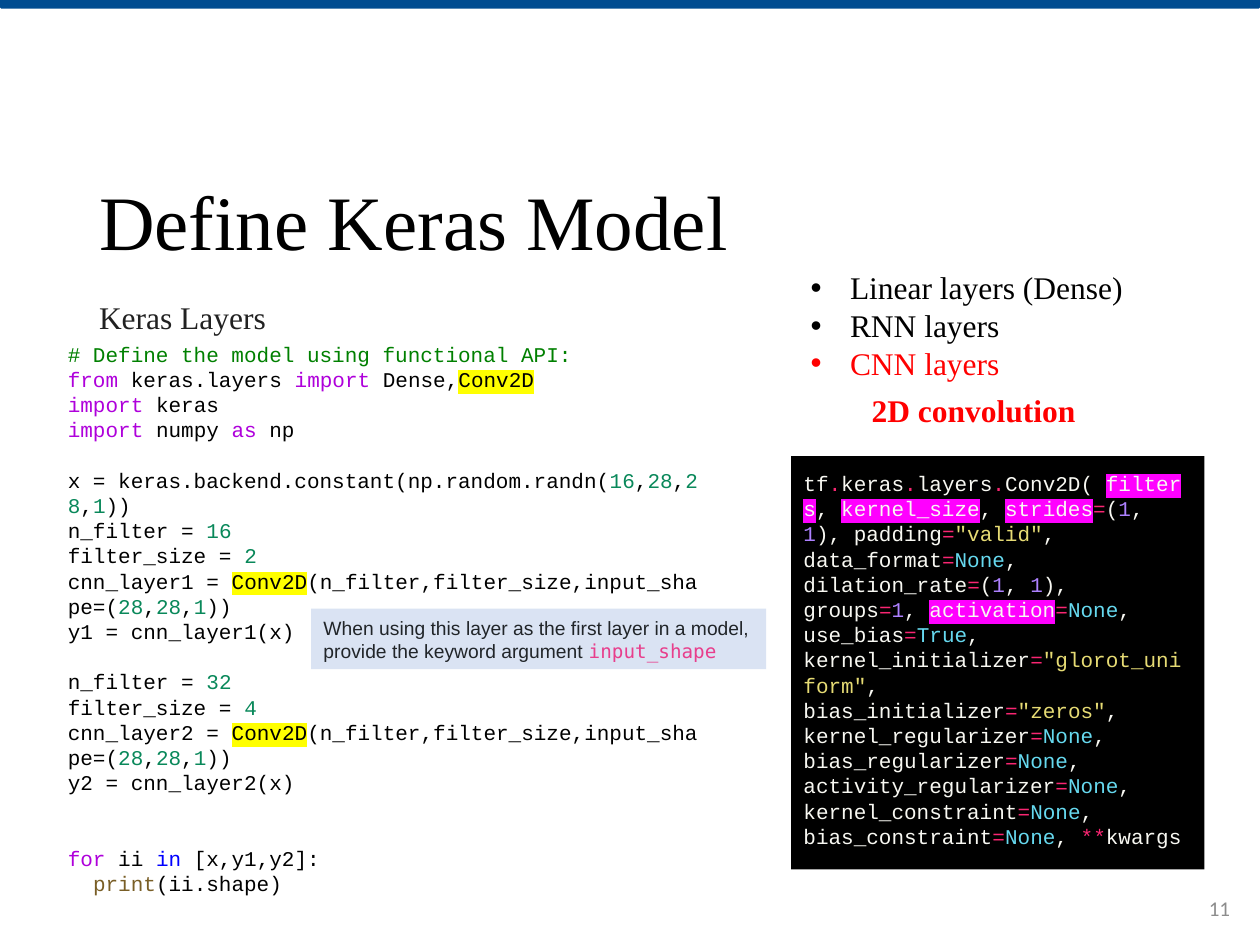
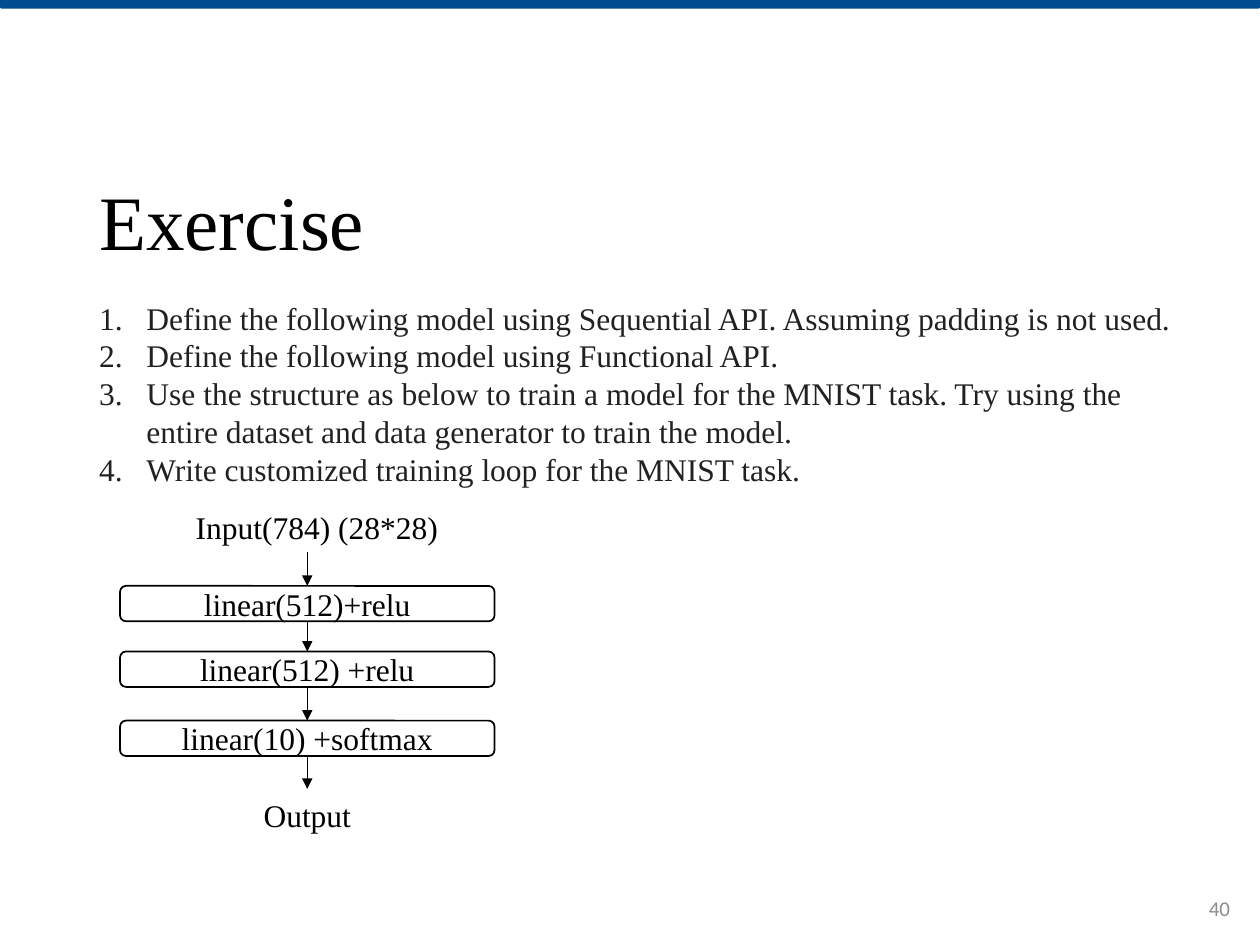
from lxml.etree import SubElement
from pptx import Presentation
from pptx.dml.color import RGBColor
from pptx.enum.shapes import MSO_CONNECTOR, MSO_SHAPE
from pptx.enum.text import MSO_ANCHOR, MSO_AUTO_SIZE, PP_ALIGN
from pptx.oxml.ns import qn
from pptx.util import Pt

SERIF, MONO = "Times New Roman", "Courier New"
BLACK, WHITE, RED, INK = "000000", "FFFFFF", "FF0000", "212121"
BAND, PAGE_NUMBER = "004C90", "8C8C8C"
LINE_FACTOR = 1.2
NO_BREAK_SPACE = chr(160)

LIGHT_CODE = {
    "c": {"color": "008000"},
    "k": {"color": "AF00DB"},
    "n": {"color": "09885A"},
    "i": {"color": "0000FF"},
    "f": {"color": "795E26"},
    "h": {"highlight": "FFFF00"},
}
DARK_CODE = {
    "o": {"color": "F92672"},
    "n": {"color": "AE81FF"},
    "s": {"color": "E6DB74"},
    "v": {"color": "66D9EF"},
    "h": {"highlight": "FF00FF"},
}
CALLOUT = {"a": {"color": "E83E8C", "font": "DejaVu Sans Mono"}}

IMAGE_SHAPE = "({n:28},{n:28},{n:1}))"
CONV_CALL = "{h:Conv2D}(n_filter,filter_size,input_shape=" + IMAGE_SHAPE
MODEL_CODE = [
    "{c:# Define the model using functional API:}",
    "{k:from} keras.layers {k:import} Dense,{h:Conv2D}",
    "{k:import} keras",
    "{k:import} numpy {k:as} np",
    "x = keras.backend.constant(np.random.randn({n:16},{n:28},{n:28},{n:1}))",
    "n_filter = {n:16}",
    "filter_size = {n:2}",
    "cnn_layer1 = " + CONV_CALL,
    "y1 = cnn_layer1(x)",
    "n_filter = {n:32}",
    "filter_size = {n:4}",
    "cnn_layer2 = " + CONV_CALL,
    "y2 = cnn_layer2(x)",
    "{k:for} ii {i:in} [x,y1,y2]:",
    "{f:print}(ii.shape)",
]
LINES_SKIPPED_BEFORE = {4: 1, 9: 1, 13: 2}

PAIR = "({n:1}, {n:1})"
SIGNATURE = [
    ("{h:strides}", PAIR),
    ("padding", '{s:"valid"}'),
    ("data_format", "{v:None}"),
    ("dilation_rate", PAIR),
    ("groups", "{n:1}"),
    ("{h:activation}", "{v:None}"),
    ("use_bias", "{v:True}"),
    ("kernel_initializer", '{s:"glorot_uniform"}'),
    ("bias_initializer", '{s:"zeros"}'),
    ("kernel_regularizer", "{v:None}"),
    ("bias_regularizer", "{v:None}"),
    ("activity_regularizer", "{v:None}"),
    ("kernel_constraint", "{v:None}"),
    ("bias_constraint", "{v:None}"),
]


def rgb(value):
    return RGBColor.from_string(value)


def set_all(target, values):
    for name, value in values.items():
        setattr(target, name, value)


def split_markup(text):
    first, *rest = text.split("{")
    pieces = [(None, first)]
    for part in rest:
        marked, _, plain = part.partition("}")
        key, _, words = marked.partition(":")
        pieces += [(key, words), (None, plain)]
    return [piece for piece in pieces if piece[1]]


def add_span(para, words, size, font, color, highlight=None, bold=False):
    span = para.add_run()
    span.text = words
    set_all(span.font, {"size": Pt(size), "name": font, "bold": bold})
    span.font.color.rgb = rgb(color)
    if highlight:
        properties = span.font._element
        mark = SubElement(properties, qn("a:highlight"))
        SubElement(mark, qn("a:srgbClr"), val=highlight)
        properties.find(qn("a:latin")).addprevious(mark)


def write(frame, lines, size, font=SERIF, color=BLACK, styles=None,
          align=PP_ALIGN.LEFT, spacing=None, **look):
    for index, line in enumerate(lines):
        para = frame.paragraphs[0] if index == 0 else frame.add_paragraph()
        set_all(para, {
            "alignment": align,
            "line_spacing": spacing or Pt(size * LINE_FACTOR),
            "space_before": Pt(0),
            "space_after": Pt(0),
        })
        for key, words in split_markup(line):
            base = {"font": font, "color": color, **look}
            add_span(para, words, size, **{**base, **(styles or {}).get(key, {})})
    return frame.paragraphs


def set_frame(shape, anchor=MSO_ANCHOR.TOP, wrap=True, **margins):
    frame = shape.text_frame
    set_all(frame, {"auto_size": MSO_AUTO_SIZE.NONE, "word_wrap": wrap,
                    "vertical_anchor": anchor})
    set_all(frame, {name: Pt(value) for name, value in margins.items()})
    return frame


def place(shape, box):
    set_all(shape, dict(zip(("left", "top", "width", "height"), map(Pt, box))))
    return shape


def add_text(page, box, lines, size, anchor=MSO_ANCHOR.TOP, wrap=True, **look):
    shape = page.shapes.add_textbox(*map(Pt, box))
    return write(set_frame(shape, anchor, wrap), lines, size, **look)


def add_box(page, kind, box, fill, line=None):
    shape = page.shapes.add_shape(kind, *map(Pt, box))
    shape.shadow.inherit = False
    shape.fill.solid()
    shape.fill.fore_color.rgb = rgb(fill)
    if line:
        shape.line.color.rgb = rgb(line)
        shape.line.width = Pt(1)
    else:
        shape.line.fill.background()
    return shape


def add_arrow(page, x, start, end):
    arrow = page.shapes.add_connector(
        MSO_CONNECTOR.STRAIGHT, Pt(x), Pt(start), Pt(x), Pt(end))
    arrow.line.color.rgb = rgb(BLACK)
    arrow.line.width = Pt(0.5)
    SubElement(arrow.line._get_or_add_ln(), qn("a:tailEnd"), type="triangle")
    SubElement(arrow._element.spPr, qn("a:effectLst"))


def add_list(page, box, items, left, hanging, bullet, color):
    frame = set_frame(place(page.placeholders[1], box))
    paras = write(frame, items, 18, color=color)
    tag, values = bullet
    for para in paras:
        properties = para._p.get_or_add_pPr()
        properties.set("marL", str(Pt(left)))
        properties.set("indent", str(-Pt(hanging)))
        SubElement(properties, qn(tag), **values)
    return paras


def add_page(deck, title, number):
    page = deck.slides.add_slide(deck.slide_layouts[1])
    band = add_box(page, MSO_SHAPE.SNIP_2_SAME_RECTANGLE, (0, 0, 720, 5), BAND)
    band.rotation = 180
    heading = place(page.shapes.title, (49.5, 89.5, 572.5, 78.5))
    write(set_frame(heading, MSO_ANCHOR.MIDDLE), [title], 44, spacing=0.9)
    add_text(page, (548, 504.5, 162, 29), [number], 12, MSO_ANCHOR.MIDDLE,
             font="Calibri", color=PAGE_NUMBER, align=PP_ALIGN.RIGHT)
    return page


def add_model_code(page, box):
    lines = [line.replace(" ", NO_BREAK_SPACE) for line in MODEL_CODE]
    paras = add_text(page, box, lines, 12, font=MONO, styles=LIGHT_CODE)
    for index, count in LINES_SKIPPED_BEFORE.items():
        paras[index].space_before = Pt(count * 12 * LINE_FACTOR)
    paras[-1]._p.get_or_add_pPr().set("marL", str(Pt(14.4)))


def add_callout(page, box):
    shape = add_box(page, MSO_SHAPE.RECTANGLE, box, "DAE3F3")
    text = ("When using this layer as the first layer in a model, "
            "provide the keyword argument {a:input_shape}")
    write(set_frame(shape, MSO_ANCHOR.MIDDLE), [text], 11, font="Arial",
          color="212529", styles=CALLOUT)


def add_signature(page, box):
    shape = add_box(page, MSO_SHAPE.RECTANGLE, box, BLACK)
    frame = set_frame(shape, MSO_ANCHOR.MIDDLE, margin_top=0, margin_bottom=3.6)
    arguments = ["{h:filters}", "{h:kernel_size}"]
    arguments += [name + "{o:=}" + value for name, value in SIGNATURE]
    arguments.append("{o:**}kwargs")
    text = "{o:.}".join(["tf", "keras", "layers", "Conv2D( "]) + ", ".join(arguments)
    paras = write(frame, [text], 12, font=MONO, color="F8F8F2", styles=DARK_CODE)
    paras[0].space_before = Pt(3.6)


def add_network(page, box):
    left, top, width, height = box
    center = left + width / 2
    layer_height = 20.2
    layers = {"linear(512)+relu": 48.2, "linear(512) +relu": 85.7,
              "linear(10) +softmax": 125.2}
    for label, offset in layers.items():
        shape = add_box(page, MSO_SHAPE.ROUNDED_RECTANGLE,
                        (left, top + offset, width, layer_height), WHITE, BLACK)
        frame = set_frame(shape, MSO_ANCHOR.MIDDLE, margin_top=0, margin_bottom=0)
        write(frame, [label], 18, align=PP_ALIGN.CENTER)
    starts = [28.8] + [offset + layer_height for offset in layers.values()]
    ends = [*layers.values(), 164.2]
    for start, end in zip(starts, ends):
        add_arrow(page, center, top + start, top + end)
    label_width = 154
    for label, shift, label_top in (("Input(784) (28*28)", 5.5, top),
                                    ("Output", 0, top + height - 29)):
        add_text(page, (center - label_width / 2 + shift, label_top, label_width, 29),
                 [label], 18, wrap=False, align=PP_ALIGN.CENTER)


def add_keras_page(deck):
    page = add_page(deck, "Define Keras Model", "11")
    add_text(page, (49.5, 167, 641.5, 51), ["Keras Layers"], 18, color=INK)
    paras = add_list(page, (420, 149.8, 250.5, 72.7),
                     ["Linear layers (Dense)", "RNN layers", "CNN layers"],
                     58.5, 22.5, ("a:buChar", {"char": "•"}), BLACK)
    paras[-1].runs[0].font.color.rgb = rgb(RED)
    add_text(page, (491, 219.6, 179, 29), ["2D convolution"], 18, color=RED, bold=True)
    add_model_code(page, (31.7, 191.5, 376.5, 327))
    add_callout(page, (177.8, 347.8, 260, 34.6))
    add_signature(page, (452, 260.6, 236.2, 236.2))


def add_exercise_page(deck):
    page = add_page(deck, "Exercise", "40")
    add_list(page, (49.5, 167, 641.5, 138), [
        "Define the following model using Sequential API. Assuming padding is not used.",
        "Define the following model using Functional API.",
        "Use the structure as below to train a model for the MNIST task. "
        "Try using the entire dataset and data generator to train the model.",
        "Write customized training loop for the MNIST task.",
    ], 27, 27, ("a:buAutoNum", {"type": "arabicPeriod"}), INK)
    add_network(page, (68.6, 286.6, 214, 193.8))


def main():
    deck = Presentation()
    deck.slide_width, deck.slide_height = Pt(720), Pt(540)
    add_keras_page(deck)
    add_exercise_page(deck)
    deck.save("out.pptx")


if __name__ == "__main__":
    main()
